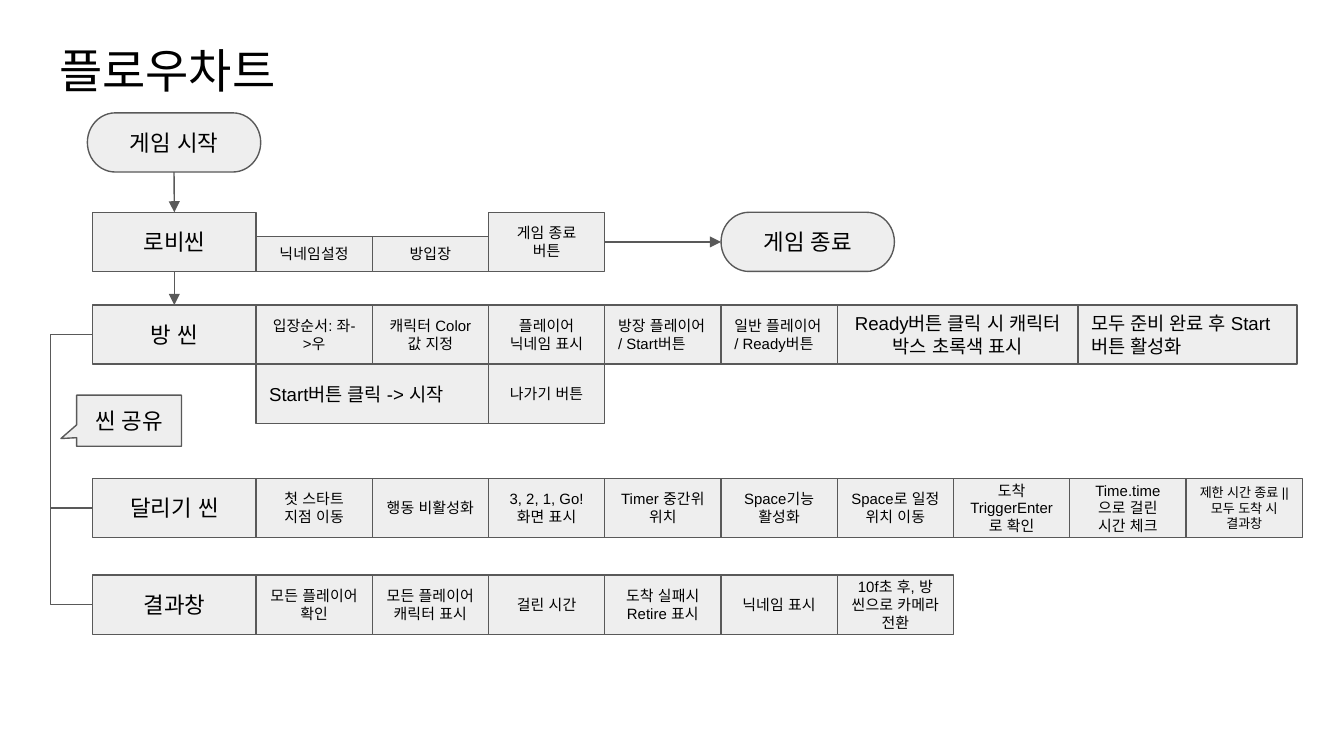
from dataclasses import dataclass

from lxml.etree import SubElement
from pptx import Presentation
from pptx.dml.color import RGBColor
from pptx.enum.lang import MSO_LANGUAGE_ID
from pptx.enum.shapes import MSO_CONNECTOR, MSO_SHAPE
from pptx.enum.text import MSO_ANCHOR, MSO_AUTO_SIZE, PP_ALIGN
from pptx.oxml.ns import qn
from pptx.util import Emu, Inches, Pt


@dataclass(frozen=True)
class Theme:
    font: str = "Arial"
    ink: RGBColor = RGBColor(0x00, 0x00, 0x00)
    fill: RGBColor = RGBColor(0xEE, 0xEE, 0xEE)
    edge: RGBColor = RGBColor(0x59, 0x59, 0x59)
    stroke: float = 0.75
    title: float = 25.2
    scene: float = 12
    wide: float = 10
    step: float = 8
    small: float = 7


THEME = Theme()
LEFT = PP_ALIGN.LEFT


@dataclass(frozen=True)
class Step:
    text: str
    width: float = 0
    height: float = 0
    size: float = THEME.step
    align: PP_ALIGN = PP_ALIGN.CENTER


STEP_WIDTH = (6.23 - 4.5) / 2
STEPS_LEFT = 4.5 - 3 * STEP_WIDTH
SCENE_LEFT = 0.69
SCENE_WIDTH = STEPS_LEFT - SCENE_LEFT
ROW_HEIGHT = 0.44
END_WIDTH = 1.29
LOBBY_TOP, ROOM_TOP, RACE_TOP, RESULT_TOP = 1.58, 2.27, 3.56, 4.28

LOBBY = [
    Step("닉네임설정", height=0.26),
    Step("방입장", height=0.26),
    Step("게임 종료 버튼"),
]
ROOM = [
    Step("입장순서: 좌->우"),
    Step("캐릭터 Color값 지정"),
    Step("플레이어 닉네임 표시"),
    Step("방장 플레이어 / Start버튼", align=LEFT),
    Step("일반 플레이어 / Ready버튼", align=LEFT),
    Step("Ready버튼 클릭 시 캐릭터 박스 초록색 표시", width=1.79, size=THEME.wide),
    Step("모두 준비 완료 후 Start버튼 활성화", width=1.63, size=THEME.wide, align=LEFT),
]
ROOM_EXITS = [
    Step("Start버튼 클릭 -> 시작", width=2 * STEP_WIDTH, size=THEME.wide, align=LEFT),
    Step("나가기 버튼"),
]
RACE = [
    Step("첫 스타트 지점 이동"),
    Step("행동 비활성화"),
    Step("3, 2, 1, Go!\n화면 표시"),
    Step("Timer 중간위 위치"),
    Step("Space기능 활성화"),
    Step("Space로 일정 위치 이동"),
    Step("도착 TriggerEnter로 확인"),
    Step("Time.time으로 걸린 시간 체크"),
    Step("제한 시간 종료 || 모두 도착 시 결과창", size=THEME.small),
]
RESULT = [
    Step("모든 플레이어 확인"),
    Step("모든 플레이어 캐릭터 표시"),
    Step("걸린 시간"),
    Step("도착 실패시 Retire 표시"),
    Step("닉네임 표시"),
    Step("10f초 후, 방 씬으로 카메라 전환"),
]


def write(shape, text, size=THEME.step, align=PP_ALIGN.CENTER, anchor=MSO_ANCHOR.MIDDLE):
    frame = shape.text_frame
    frame.text = text
    frame.word_wrap = True
    frame.auto_size = MSO_AUTO_SIZE.NONE
    frame.vertical_anchor = anchor
    frame.margin_left = frame.margin_right = Inches(0.1)
    frame.margin_top = frame.margin_bottom = Inches(0.1)
    for paragraph in frame.paragraphs:
        paragraph.alignment = align
        for run in paragraph.runs:
            run.font.name = THEME.font
            run.font.size = Pt(size)
            run.font.color.rgb = THEME.ink
            run.font.language_id = MSO_LANGUAGE_ID.KOREAN
            for script in ("a:ea", "a:cs"):
                SubElement(run._r.get_or_add_rPr(), qn(script), typeface=THEME.font)


def draw_box(slide, box, text, kind=MSO_SHAPE.RECTANGLE, **text_format):
    shape = slide.shapes.add_shape(kind, *map(Inches, box))
    shape.shadow.inherit = False
    shape.fill.solid()
    shape.fill.fore_color.rgb = THEME.fill
    shape.line.color.rgb = THEME.edge
    shape.line.width = Pt(THEME.stroke)
    write(shape, text, **text_format)
    return shape


def draw_title(slide, box, text):
    title = slide.shapes.title
    title.left, title.top, title.width, title.height = map(Inches, box)
    write(title, text, size=THEME.title, align=LEFT, anchor=MSO_ANCHOR.TOP)


def draw_terminator(slide, left, top, text):
    return draw_box(slide, (left, top, END_WIDTH, ROW_HEIGHT), text,
                    kind=MSO_SHAPE.FLOWCHART_TERMINATOR, size=THEME.scene)


def draw_steps(slide, left, top, steps):
    boxes = []
    for step in steps:
        width = step.width or STEP_WIDTH
        height = step.height or ROW_HEIGHT
        box = (left, top + ROW_HEIGHT - height, width, height)
        boxes.append(draw_box(slide, box, step.text, size=step.size, align=step.align))
        left += width
    return boxes


def draw_scene(slide, top, name, steps):
    scene = draw_box(slide, (SCENE_LEFT, top, SCENE_WIDTH, ROW_HEIGHT), name, size=THEME.scene)
    return scene, draw_steps(slide, STEPS_LEFT, top, steps)


def draw_callout(slide, box, text):
    callout = draw_box(slide, box, text, kind=MSO_SHAPE.RECTANGULAR_CALLOUT, size=THEME.scene)
    callout.adjustments[0] = -0.65
    callout.adjustments[1] = 0.35


def style_connector(connector):
    connector.line.color.rgb = THEME.edge
    connector.line.width = Pt(THEME.stroke)
    SubElement(connector._element.spPr, qn("a:effectLst"))


def draw_arrow(slide, source, source_side, target, target_side):
    arrow = slide.shapes.add_connector(MSO_CONNECTOR.STRAIGHT, 0, 0, 0, 0)
    arrow.begin_connect(source, source_side)
    arrow.end_connect(target, target_side)
    style_connector(arrow)
    SubElement(arrow.line._get_or_add_ln(), qn("a:tailEnd"), type="triangle")


def draw_bracket(slide, upper, lower, reach=Inches(0.26), sliver=Emu(600)):
    start = upper.top + upper.height // 2
    end = lower.top + lower.height // 2
    bracket = slide.shapes.add_connector(
        MSO_CONNECTOR.ELBOW, upper.left, start, upper.left + sliver, end)
    style_connector(bracket)
    guides = bracket._element.spPr.find(qn("a:prstGeom")).get_or_add_avLst()
    bend = -round(reach / sliver * 100000)
    SubElement(guides, qn("a:gd"), name="adj1", fmla=f"val {bend}")


def draw_flowchart(slide):
    start = draw_terminator(slide, 0.65, 0.84, "게임 시작")
    lobby, lobby_steps = draw_scene(slide, LOBBY_TOP, "로비씬", LOBBY)
    finish = draw_terminator(slide, STEPS_LEFT + 4 * STEP_WIDTH, LOBBY_TOP, "게임 종료")
    room, _ = draw_scene(slide, ROOM_TOP, "방 씬", ROOM)
    draw_steps(slide, STEPS_LEFT, ROOM_TOP + ROW_HEIGHT, ROOM_EXITS)
    race, _ = draw_scene(slide, RACE_TOP, "달리기 씬", RACE)
    result, _ = draw_scene(slide, RESULT_TOP, "결과창", RESULT)
    for scene in (result, race):
        draw_bracket(slide, room, scene)
    draw_callout(slide, (0.57, 2.94, 0.78, 0.38), "씬 공유")
    draw_arrow(slide, start, 2, lobby, 0)
    draw_arrow(slide, lobby, 2, room, 0)
    draw_arrow(slide, lobby_steps[-1], 3, finish, 1)


def main():
    deck = Presentation()
    deck.slide_width = Inches(10)
    deck.slide_height = deck.slide_width * 9 // 16
    slide = deck.slides.add_slide(deck.slide_layouts[5])
    draw_title(slide, (0.34, 0.21, 9.32, 0.63), "플로우차트")
    draw_flowchart(slide)
    deck.save("out.pptx")


if __name__ == "__main__":
    main()
